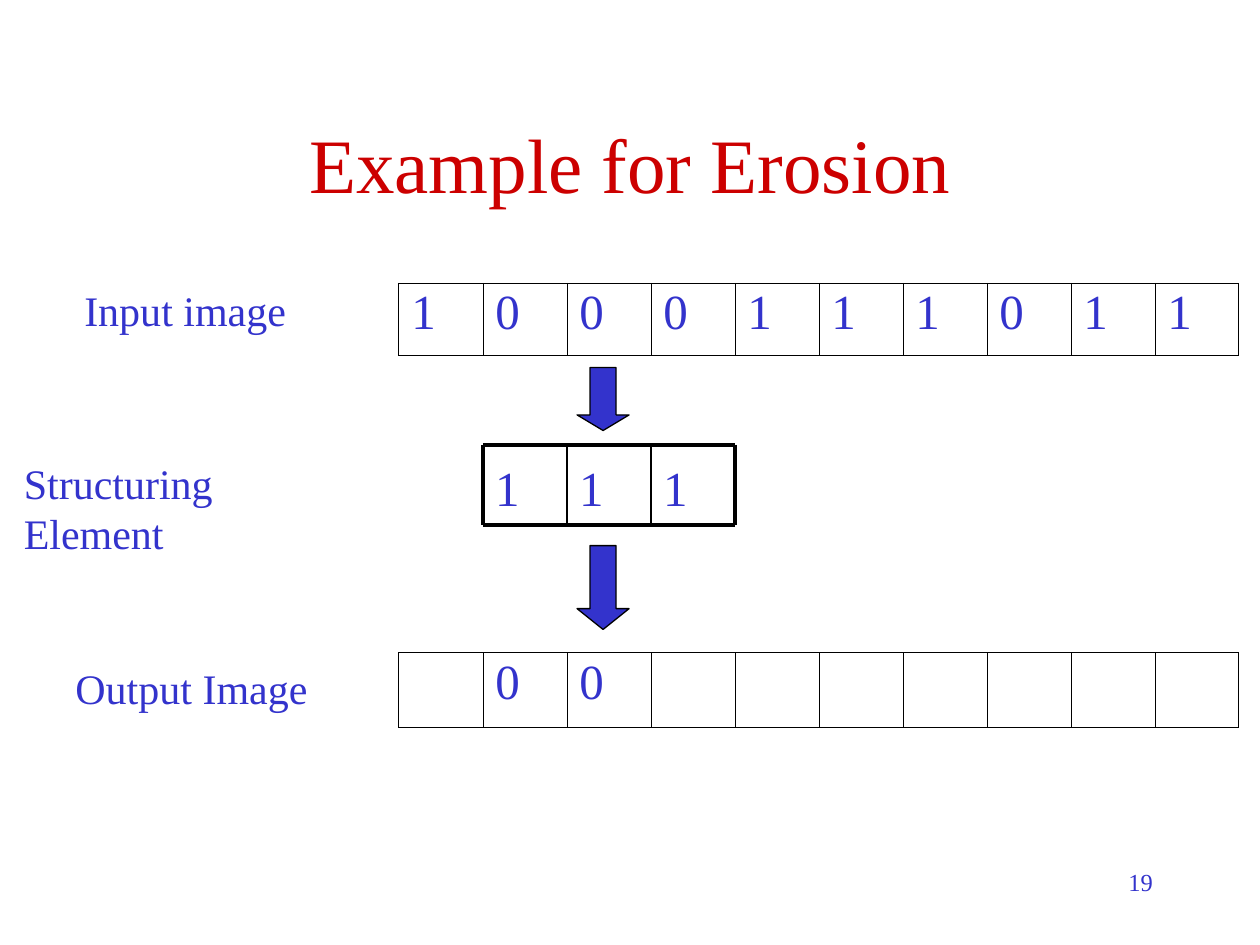
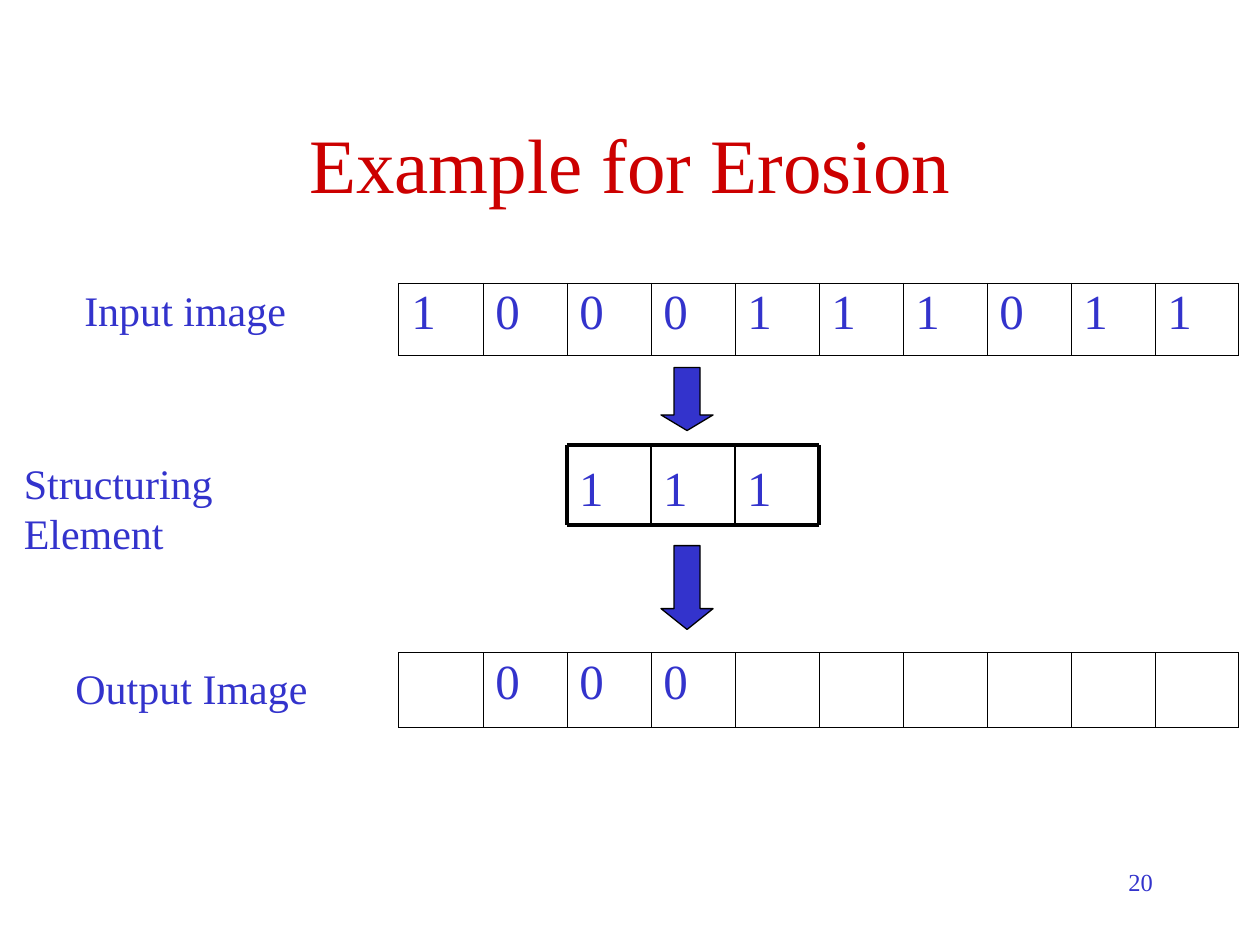
from pptx import Presentation
from pptx.dml.color import RGBColor
from pptx.enum.shapes import MSO_CONNECTOR, MSO_SHAPE
from pptx.enum.text import MSO_ANCHOR, MSO_AUTO_SIZE, PP_ALIGN
from pptx.oxml import parse_xml
from pptx.oxml.ns import nsdecls
from pptx.util import Cm, Pt
from lxml import etree

ink = {"title": "CC0000", "text": "3333CC", "line": "000000"}
face = "Times New Roman"
left = Cm(8.04)
step = Cm(16.93) // 10
top, base = Cm(8.97), Cm(10.59)


def write(frame, text, size, tone="text", align=PP_ALIGN.LEFT):
    para = frame.paragraphs[0]
    para.text = text
    para.alignment = align
    para.font.name = face
    para.font.size = Pt(size)
    para.font.color.rgb = RGBColor.from_string(ink[tone])
    return para


def add_row(slide, y, high, marks):
    frame = slide.shapes.add_table(1, 10, left, y, step * 10, high)
    grid = frame.table
    grid.first_row = grid.horz_banding = False
    for col, mark in enumerate(marks):
        cell = grid.cell(0, col)
        write(cell.text_frame, mark, 28).line_spacing = 0.93
        props = cell._tc.get_or_add_tcPr()
        wide = {"L": 0.5 if col == 0 else 0.23, "R": 0.5 if col == 9 else 0.23, "T": 0.5, "B": 0.5}
        for side, width in wide.items():
            props.append(parse_xml(
                f'<a:ln{side} {nsdecls("a")} w="{Pt(width)}"><a:solidFill>'
                f'<a:srgbClr val="{ink["line"]}"/></a:solidFill></a:ln{side}>'))
        cell.fill.background()


deck = Presentation()
deck.slide_width, deck.slide_height = Cm(25.4), Cm(19.05)

for pos, page in [(1, "19"), (2, "20")]:
    slide = deck.slides.add_slide(deck.slide_layouts[6])

    head = slide.shapes.add_textbox(Cm(1.91), Cm(1.7), Cm(21.59), Cm(3.18)).text_frame
    head.word_wrap = True
    head.vertical_anchor = MSO_ANCHOR.MIDDLE
    write(head, "Example for Erosion", 44, "title", PP_ALIGN.CENTER)

    foot = slide.shapes.add_textbox(Cm(18.2), Cm(17.35), Cm(5.29), Cm(1.27)).text_frame
    foot.word_wrap = True
    write(foot, page, 14, align=PP_ALIGN.RIGHT)

    add_row(slide, Cm(5.71), Cm(1.45), "1000111011")
    add_row(slide, Cm(13.16), Cm(1.5), [""] + ["0"] * (pos + 1) + [""] * (8 - pos))

    for text, x, y, wide in [
        ("Input image", 1.45, 5.61, 4.57),
        ("Structuring Element", 0.23, 9.09, 7.34),
        ("Output Image", 1.27, 13.23, 5.18),
    ]:
        label = slide.shapes.add_textbox(Cm(x), Cm(y), Cm(wide), Cm(1.27)).text_frame
        label.word_wrap = False
        label.auto_size = MSO_AUTO_SIZE.SHAPE_TO_FIT_TEXT
        write(label, text, 24)

    start = left + pos * step
    end = start + 3 * step
    group = slide.shapes.add_group_shape().shapes
    for col in range(3):
        bit = group.add_textbox(start + col * step, top, step, base - top).text_frame
        bit.word_wrap = True
        bit.margin_top = Cm(0.25)
        write(bit, "1", 28)

    rules = [(start, y, end, y, 2.25) for y in (top, base)]
    for col in range(4):
        x = start + col * step
        rules.append((x, top, x, base, 2.25 if col in (0, 3) else 1))
    for *ends, width in rules:
        rule = group.add_connector(MSO_CONNECTOR.STRAIGHT, *ends)
        rule.line.width = Pt(width)
        rule.line.color.rgb = RGBColor.from_string(ink["line"])
        etree.SubElement(rule._element.spPr, "{http://schemas.openxmlformats.org/drawingml/2006/main}effectLst")

    for y, high, tip in [(7.41, 1.27, 0.3), (11, 1.69, 0.4)]:
        arrow = group.add_shape(MSO_SHAPE.DOWN_ARROW, start + Cm(1.9), Cm(y), Cm(1.05), Cm(high))
        arrow.adjustments[0] = 0.5
        arrow.adjustments[1] = tip
        arrow.shadow.inherit = False
        arrow.fill.solid()
        arrow.fill.fore_color.rgb = RGBColor.from_string(ink["text"])
        arrow.line.width = Pt(0.75)
        arrow.line.color.rgb = RGBColor.from_string(ink["line"])

deck.save("out.pptx")
